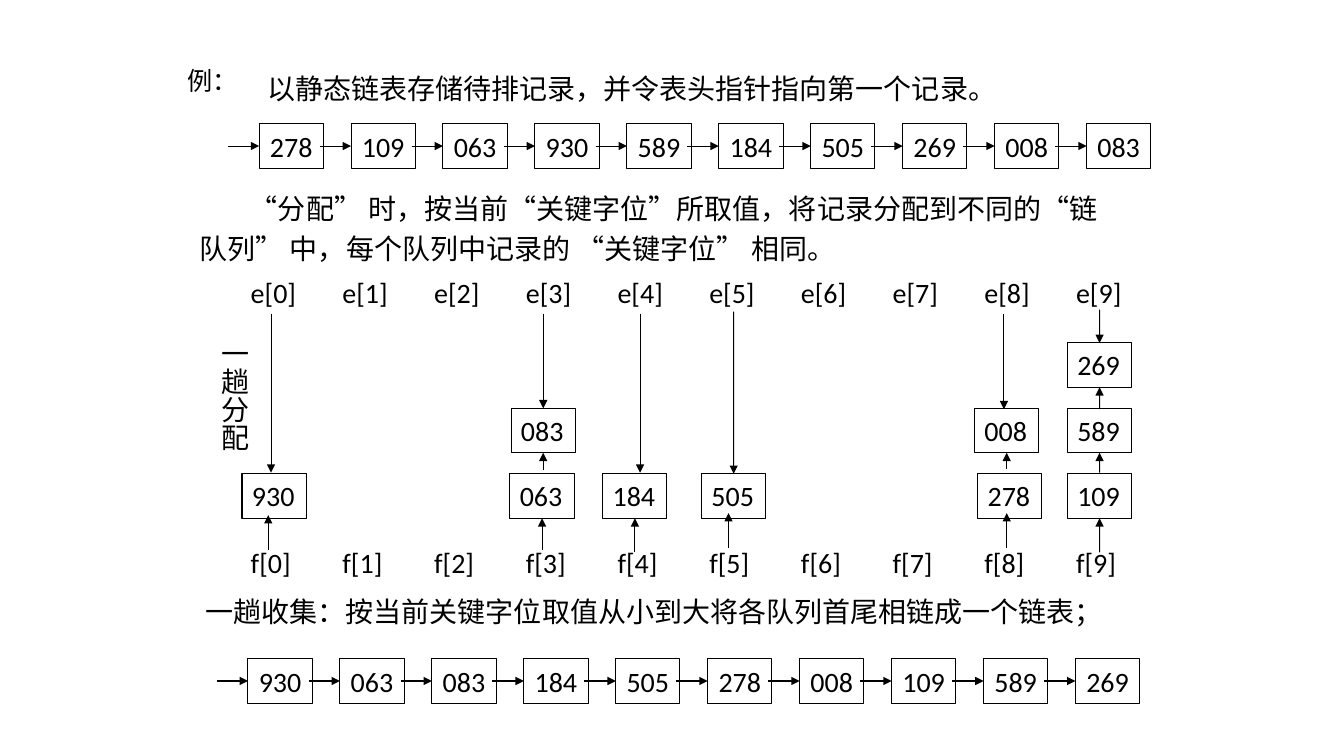
"""Build a slide showing one pass of radix sort on a linked list."""
from pptx import Presentation
from pptx import util as u
from pptx.dml import color
from pptx.enum import shapes, text
from pptx.oxml import ns, xmlchemy

COLORS = {"ink": "000000"}
INK = color.RGBColor.from_string(COLORS["ink"])
BOX_W, BOX_H = 1.62, 1.12

prs = Presentation()
prs.slide_width, prs.slide_height = u.Cm(33.87), u.Cm(19.05)
s = prs.slides.add_slide(prs.slide_layouts[6])


def add_text(words, x, y, w, h, box=False, wrap=False, grow=True, font="Calibri", size=20):
    """Add a text box, or an outlined rectangle, and return it."""
    at = [u.Cm(v) for v in (x, y, w, h)]
    if box:
        sp = s.shapes.add_shape(shapes.MSO_SHAPE.RECTANGLE, *at)
        sp.shadow.inherit = False
        sp.fill.background()
        sp.line.color.rgb = INK
        sp.line.width = u.Pt(0.75)
    else:
        sp = s.shapes.add_textbox(*at)
    tf = sp.text_frame
    tf.word_wrap = wrap
    tf.auto_size = text.MSO_AUTO_SIZE.SHAPE_TO_FIT_TEXT if grow else text.MSO_AUTO_SIZE.NONE
    tf.vertical_anchor = text.MSO_ANCHOR.TOP if grow else text.MSO_ANCHOR.MIDDLE
    p = tf.paragraphs[0]
    p.text = words
    p.alignment = text.PP_ALIGN.LEFT if grow else text.PP_ALIGN.CENTER
    p.font.name, p.font.size = font, u.Pt(size)
    p.font.color.rgb = INK
    return sp


def add_arrow(x1, y1, x2, y2, target=None, side=0):
    """Add an arrow, joined to a side of the target box if one is given."""
    c = s.shapes.add_connector(shapes.MSO_CONNECTOR.STRAIGHT, *[u.Cm(v) for v in (x1, y1, x2, y2)])
    c.line.color.rgb = INK
    c.line.width = u.Pt(0.75)
    c.line._get_or_add_ln().append(xmlchemy.OxmlElement("a:tailEnd", nsmap=ns.nsdecls and None))
    c.line._get_or_add_ln()[-1].set("type", "triangle")
    c._element.spPr.append(xmlchemy.OxmlElement("a:effectLst"))
    if target is not None:
        c.end_connect(target, side)


chains = [
    (6.53, 3.12, ["278", "109", "063", "930", "589", "184", "505", "269", "008", "083"]),
    (6.25, 16.6, ["930", "063", "083", "184", "505", "278", "008", "109", "589", "269"]),
]
for left, top, keys in chains:
    for i, key in enumerate(keys):
        x, mid = left + 2.317 * i, top + BOX_H / 2
        sp = add_text(key, x, top, BOX_W, BOX_H, box=True, grow=False)
        add_arrow(x - 0.79, mid, x, mid, sp, 1)

for i in range(10):
    x = 6.07 + 2.311 * i
    add_text(f"e[{i}]", x, 6.83, 1.68, 1.12)
    add_text(f"f[{i}]", x, 13.61, 1.57, 1.09)

queues = [
    ("930", 6.1, 11.94, (6.76, 13.87, 12.98), (6.83, 7.9, 11.91)),
    ("063", 12.85, 11.94, (13.66, 13.87, 12.98), None),
    ("083", 12.88, 10.29, (13.66, 11.84, 11.35), (13.74, 7.9, 10.31)),
    ("184", 15.19, 11.94, (16.03, 13.92, 13.03), (16.13, 7.9, 11.91)),
    ("505", 17.68, 11.94, (18.36, 13.82, 12.93), (18.44, 7.85, 11.91)),
    ("278", 24.64, 11.94, (25.37, 13.82, 12.93), None),
    ("008", 24.56, 10.29, (25.37, 11.81, 11.3), (25.3, 7.9, 10.31)),
    ("109", 26.9, 11.94, (27.66, 13.92, 13.03), None),
    ("589", 26.9, 10.29, (27.66, 11.91, 11.43), None),
    ("269", 26.9, 8.64, (27.71, 10.31, 9.75), (27.76, 7.8, 8.64)),
]
for key, left, top, front, rear in queues:
    sp = add_text(key, left, top, BOX_W, BOX_H, box=True, wrap=True)
    center = left + BOX_W / 2
    for arrow, side in ((front, 2), (rear, 0)):
        if arrow:
            x, start, end = arrow
            centered = abs(x - center) < 0.065
            x = center if centered else x
            add_arrow(x, start, x, end, sp if centered else None, side)

sp = add_text("例：", 4.47, 1.4, 2.01, 1.07, font="Noto Sans CJK SC", size=18)
sp.text_frame.paragraphs[0].line_spacing = 1.15

sp = add_text("以静态链表存储待排记录，并令表头指针指向第一个记录。", 6.48, 1.83, 19.15, 0.94)
sp.text_frame.paragraphs[0].line_spacing = 0.8

sp = add_text("“分配” 时，按当前“关键字位”所取值，将记录分配到不同的“链队列” 中，"
              "每个队列中记录的 “关键字位” 相同。", 4.78, 4.52, 23.75, 2.29, wrap=True)
p = sp.text_frame.paragraphs[0]
p.line_spacing = 1.2
p._p.get_or_add_pPr().set("indent", str(u.Cm(1.27)))

sp = add_text("一趟分配", 5.08, 8.31, 1.37, 3.28)
sp.text_frame._txBody.bodyPr.set("vert", "eaVert")

add_text("一趟收集：按当前关键字位取值从小到大将各队列首尾相链成一个链表；", 4.93, 14.86, 23.47, 1.12)

prs.save("out.pptx")
